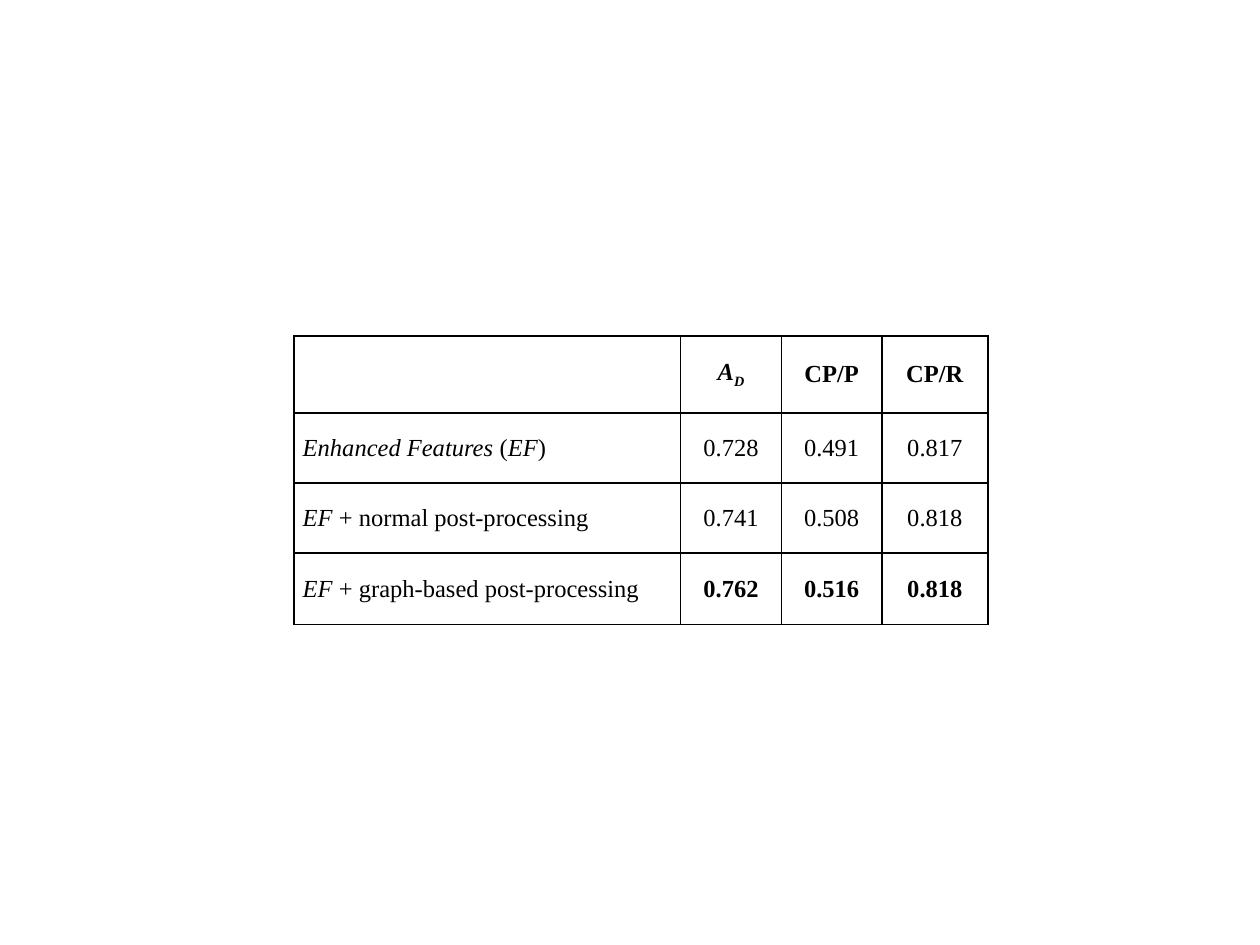
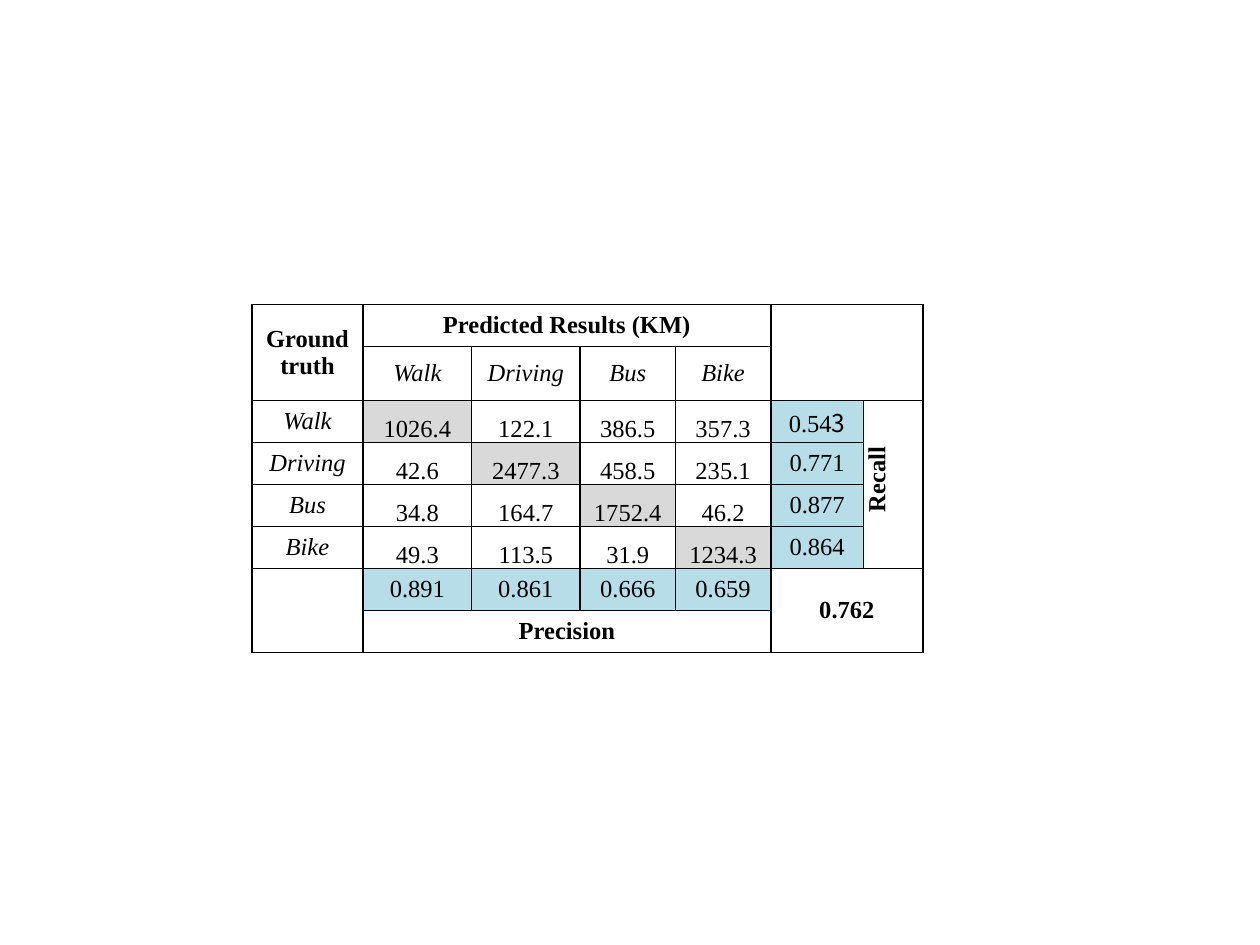
from collections import namedtuple

from lxml import etree
from pptx import Presentation
from pptx import util as u
from pptx.dml.color import RGBColor
from pptx.enum import text
from pptx.oxml.ns import qn

Theme = namedtuple("Theme", "font digit_font size ink diagonal score border inset space_after")
theme = Theme(font="Times New Roman", digit_font="Noto Sans CJK SC", size=u.Pt(14),
              ink="000000", diagonal="D9D9D9", score="B6DDE8",
              border=u.Pt(1), inset=u.Pt(5), space_after=u.Pt(6))


def add_grid(slide, left, top, widths, heights):
    """Add an unfilled table with a solid border around every cell."""
    grid = slide.shapes.add_table(len(heights), len(widths), u.Pt(left), u.Pt(top),
                                  u.Pt(sum(widths)), u.Pt(sum(heights))).table
    grid.first_row = grid.horz_banding = False
    for column, width in zip(grid.columns, widths):
        column.width = u.Pt(width)
    for row, height in zip(grid.rows, heights):
        row.height = u.Pt(height)
    for cell in grid.iter_cells():
        cell.margin_left = cell.margin_right = theme.inset
        cell.margin_top = cell.margin_bottom = 0
        properties = cell._tc.get_or_add_tcPr()
        for side in ("a:lnL", "a:lnR", "a:lnT", "a:lnB"):
            line = etree.SubElement(properties, qn(side), w=str(theme.border))
            fill = etree.SubElement(line, qn("a:solidFill"))
            etree.SubElement(fill, qn("a:srgbClr"), val=theme.ink)
        cell.fill.background()
    return grid


def write(cell, words, bold=False, centred=True, anchor=text.MSO_ANCHOR.MIDDLE, fill=None):
    """Write words into a cell; parts between asterisks are italic."""
    cell.vertical_anchor = anchor
    paragraph = cell.text_frame.paragraphs[0]
    paragraph.alignment = text.PP_ALIGN.CENTER if centred else text.PP_ALIGN.LEFT
    paragraph.space_after = theme.space_after
    paragraph.font.name = theme.font
    paragraph.font.size = theme.size
    paragraph.font.bold = bold
    paragraph.font.color.rgb = RGBColor.from_string(theme.ink)
    for index, part in enumerate(words.split("*")):
        if part:
            run = paragraph.add_run()
            run.text = part
            run.font.italic = index % 2 == 1
    if fill:
        cell.fill.solid()
        cell.fill.fore_color.rgb = RGBColor.from_string(fill)
    return paragraph


deck = Presentation()
deck.slide_width, deck.slide_height = u.Pt(720), u.Pt(540)
blank = deck.slide_layouts[6]

# Slide 1: effect of post-processing
methods = [
    ("*Enhanced Features* (*EF*)", "0.728", "0.491", "0.817"),
    ("*EF* + normal post-processing", "0.741", "0.508", "0.818"),
    ("*EF* + graph-based post-processing", "0.762", "0.516", "0.818"),
]
comparison = add_grid(deck.slides.add_slide(blank), 168, 192,
                      [221, 57.5, 57.5, 60.5], [44, 40, 40, 41])

# Measure headings, with a subscript D
accuracy = write(comparison.cell(0, 1), "*A*", bold=True)
subscript = accuracy.add_run()
subscript.text = "D"
subscript.font.italic = True
subscript.font._element.set("baseline", "-25000")
for column, measure in enumerate(("CP/P", "CP/R"), start=2):
    write(comparison.cell(0, column), measure, bold=True)

# One row per method, best scores in bold
for row, (method, *scores) in enumerate(methods, start=1):
    write(comparison.cell(row, 0), method, centred=False)
    for column, score in enumerate(scores, start=1):
        write(comparison.cell(row, column), score, bold=row == len(methods))

# Slide 2: confusion matrix of transport modes
modes = ["Walk", "Driving", "Bus", "Bike"]
distances = [
    ("1026.4", "122.1", "386.5", "357.3"),
    ("42.6", "2477.3", "458.5", "235.1"),
    ("34.8", "164.7", "1752.4", "46.2"),
    ("49.3", "113.5", "31.9", "1234.3"),
]
recalls = ["0.54", "0.771", "0.877", "0.864"]
precisions = ["0.891", "0.861", "0.666", "0.659"]
matrix = add_grid(deck.slides.add_slide(blank), 144, 174,
                  [63.5, 62, 62, 54.5, 54.5, 53, 34], [24, 31] + [24] * 6)

# Merged areas: first row, first column, last row, last column
for top, left, bottom, right in [(0, 0, 1, 0), (0, 1, 0, 4), (0, 5, 1, 6), (2, 6, 5, 6),
                                 (6, 0, 7, 0), (6, 5, 7, 6), (7, 1, 7, 4)]:
    matrix.cell(top, left).merge(matrix.cell(bottom, right))

# Headings and overall accuracy
for row, column, heading in [(0, 0, "Ground truth"), (0, 1, "Predicted Results (KM)"),
                             (2, 6, "Recall"), (6, 5, "0.762"), (7, 1, "Precision")]:
    paragraph = write(matrix.cell(row, column), heading, bold=True)
    if heading == "Recall":
        matrix.cell(row, column)._tc.get_or_add_tcPr().set("vert", "vert270")
        paragraph._p.get_or_add_pPr().set("marL", str(u.Pt(6)))

# Modes, distances, recall and precision
for index, mode in enumerate(modes):
    row, column = index + 2, index + 1
    write(matrix.cell(1, column), f"*{mode}*")
    write(matrix.cell(row, 0), f"*{mode}*")
    for predicted, distance in enumerate(distances[index]):
        write(matrix.cell(row, predicted + 1), distance, anchor=text.MSO_ANCHOR.BOTTOM,
              fill=theme.diagonal if predicted == index else None)
    recall = write(matrix.cell(row, 5), recalls[index], fill=theme.score)
    if index == 0:
        last_digit = recall.add_run()
        last_digit.text = "3"
        last_digit.font.name = theme.digit_font
    write(matrix.cell(6, column), precisions[index], fill=theme.score)

deck.save("out.pptx")
